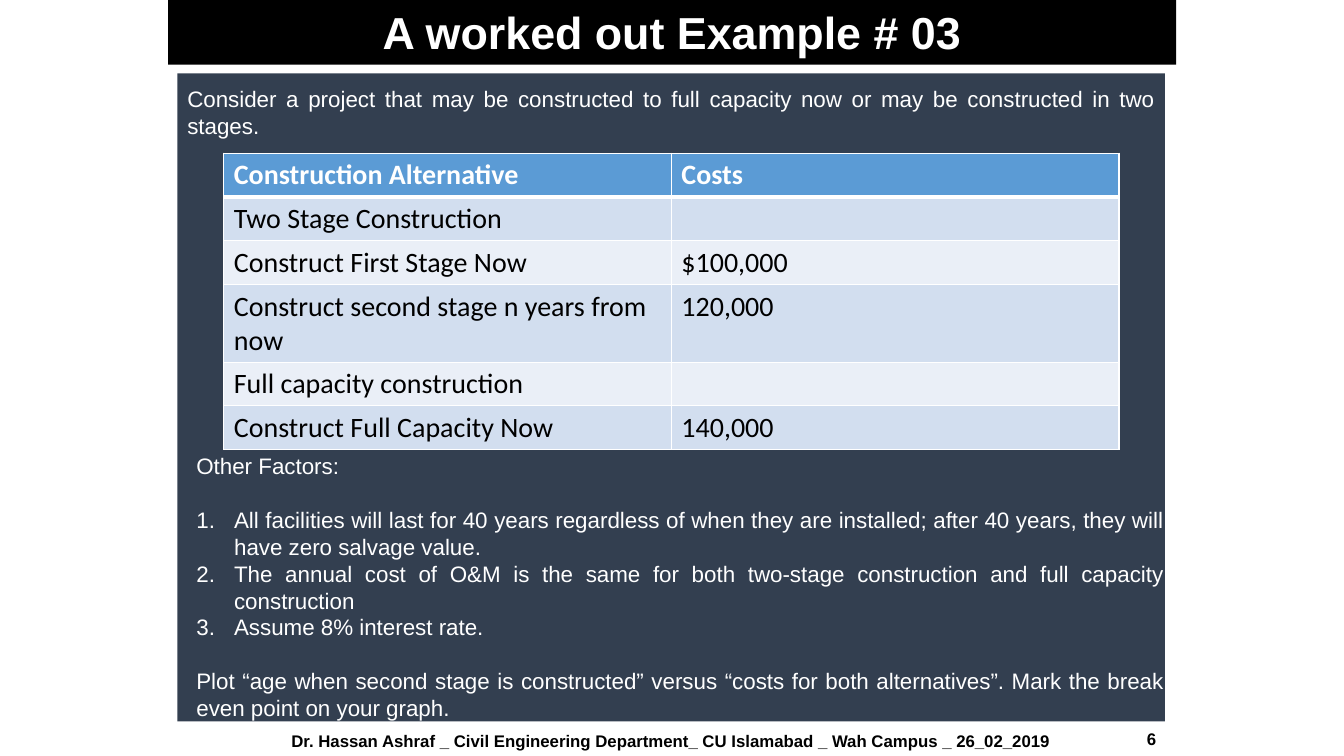
from lxml import etree
from pptx import Presentation
from pptx import util as u
from pptx.dml.color import RGBColor
from pptx.enum import shapes, text
from pptx.oxml import ns

WHITE = RGBColor(0xFF, 0xFF, 0xFF)
BLACK = RGBColor(0, 0, 0)
SLATE = RGBColor(0x33, 0x3F, 0x50)
HEADER_BLUE = RGBColor(0x5B, 0x9B, 0xD5)
BAND_DARK = RGBColor(0xD2, 0xDE, 0xEF)
BAND_LIGHT = RGBColor(0xEA, 0xEF, 0xF7)

CENTER, RIGHT, JUSTIFY = (text.PP_ALIGN.CENTER, text.PP_ALIGN.RIGHT,
                          text.PP_ALIGN.JUSTIFY)
CONTENT_LEFT, CONTENT_WIDTH = 4.47, 24.89
BLANK_LINE = u.Pt(19)

COSTS = [
    ("Construction Alternative", "Costs"),
    ("Two Stage Construction", ""),
    ("Construct First Stage Now", "$100,000"),
    ("Construct second stage n years from now", "120,000"),
    ("Full capacity construction", ""),
    ("Construct Full Capacity Now", "140,000"),
]
FACTORS = [
    "All facilities will last for 40 years regardless of when they are "
    "installed; after 40 years, they will have zero salvage value.",
    "The annual cost of O&M is the same for both two-stage construction "
    "and full capacity construction",
    "Assume 8% interest rate.",
]
TASK = ("Plot “age when second stage is constructed” versus “costs for both "
        "alternatives”. Mark the break even point on your graph.")


class SlideBuilder:
    """Holds the text style and the slide being filled."""

    def __init__(self, slide, font_name="Arial", body_size=16):
        self.slide = slide
        self.font_name = font_name
        self.body_size = body_size

    def format_runs(self, paragraph, size, color, bold=False, name=None):
        for run in paragraph.runs:
            run.font.name = name or self.font_name
            run.font.size = u.Pt(size)
            run.font.bold = bold
            run.font.color.rgb = color

    def rectangle(self, box, color):
        shape = self.slide.shapes.add_shape(
            shapes.MSO_SHAPE.RECTANGLE, *map(u.Cm, box))
        shape.shadow.inherit = False
        shape.fill.solid()
        shape.fill.fore_color.rgb = color
        shape.line.fill.background()
        return shape

    def banner(self, box, title):
        frame = self.rectangle(box, BLACK).text_frame
        frame.vertical_anchor = text.MSO_ANCHOR.TOP
        frame.text = title
        frame.paragraphs[0].alignment = CENTER
        self.format_runs(frame.paragraphs[0], 32, WHITE, bold=True)

    def text_box(self, box, lines, align, size=None, color=WHITE, bold=False,
                 anchor=text.MSO_ANCHOR.TOP):
        frame = self.slide.shapes.add_textbox(*map(u.Cm, box)).text_frame
        frame.word_wrap = True
        frame.vertical_anchor = anchor
        frame.text = "\n".join(lines)
        for paragraph in frame.paragraphs:
            paragraph.alignment = align
            self.format_runs(paragraph, size or self.body_size, color, bold)
        return frame.paragraphs

    def footer(self, box, line, align):
        self.text_box(box, [line], align, 12, BLACK, True,
                      text.MSO_ANCHOR.MIDDLE)

    def number(self, paragraph, indent=u.Cm(0.95)):
        """Turn a paragraph into an item of a 1. 2. 3. list."""
        properties = paragraph._p.get_or_add_pPr()
        properties.set("marL", str(indent))
        properties.set("indent", str(-indent))
        for tag, key, value in (("a:buFont", "typeface", "+mj-lt"),
                                ("a:buAutoNum", "type", "arabicPeriod")):
            etree.SubElement(properties, ns.qn(tag)).set(key, value)

    def border(self, cell, side, points):
        line = etree.SubElement(cell._tc.get_or_add_tcPr(),
                                ns.qn(f"a:ln{side}"), w=str(u.Pt(points)))
        fill = etree.SubElement(line, ns.qn("a:solidFill"))
        etree.SubElement(fill, ns.qn("a:srgbClr"), val=str(WHITE))

    def table(self, left, top, column_width, heights, rows):
        table = self.slide.shapes.add_table(
            len(rows), len(rows[0]), u.Cm(left), u.Cm(top),
            u.Cm(column_width * len(rows[0])), u.Cm(sum(heights))).table
        for column in table.columns:
            column.width = u.Cm(column_width)
        for r, values in enumerate(rows):
            table.rows[r].height = u.Cm(heights[r])
            header = r == 0
            band = HEADER_BLUE if header else (BAND_LIGHT, BAND_DARK)[r % 2]
            for c, value in enumerate(values):
                cell = table.cell(r, c)
                for side, points in (("L", 1), ("R", 1),
                                     ("T", 3 if r == 1 else 1),
                                     ("B", 3 if header else 1)):
                    self.border(cell, side, points)
                cell.fill.solid()
                cell.fill.fore_color.rgb = band
                cell.text_frame.text = value
                self.format_runs(cell.text_frame.paragraphs[0], 20,
                                 WHITE if header else BLACK, header, "Calibri")


def main():
    presentation = Presentation()
    presentation.slide_width = u.Cm(33.87)
    presentation.slide_height = u.Cm(19.05)
    slide = presentation.slides.add_slide(presentation.slide_layouts[6])
    builder = SlideBuilder(slide)

    builder.rectangle((CONTENT_LEFT, 1.85, CONTENT_WIDTH, 16.33), SLATE)
    builder.banner((4.24, 0, 25.4, 1.63), "A worked out Example # 03")
    builder.footer((23.67, 18.11, 5.72, 1.02), "6", RIGHT)
    builder.footer((CONTENT_LEFT, 18.16, CONTENT_WIDTH, 1.02),
                   "Dr. Hassan Ashraf _ Civil Engineering Department_ "
                   "CU Islamabad _ Wah Campus _ 26_02_2019", CENTER)
    builder.text_box((CONTENT_LEFT, 2.03, CONTENT_WIDTH, 3.68),
                     ["Consider a project that may be constructed to full "
                      "capacity now or may be constructed in two stages."],
                     JUSTIFY)
    builder.table(5.64, 3.86, 11.28, [1.1, 1.1, 1.1, 1.96, 1.1, 1.1], COSTS)

    heading, *items, task = builder.text_box(
        (4.7, 11.28, CONTENT_WIDTH, 7.09),
        ["Other Factors:", *FACTORS, TASK], JUSTIFY)
    heading.space_after = BLANK_LINE
    task.space_before = BLANK_LINE
    for item in items:
        builder.number(item)

    presentation.save("out.pptx")


if __name__ == "__main__":
    main()
